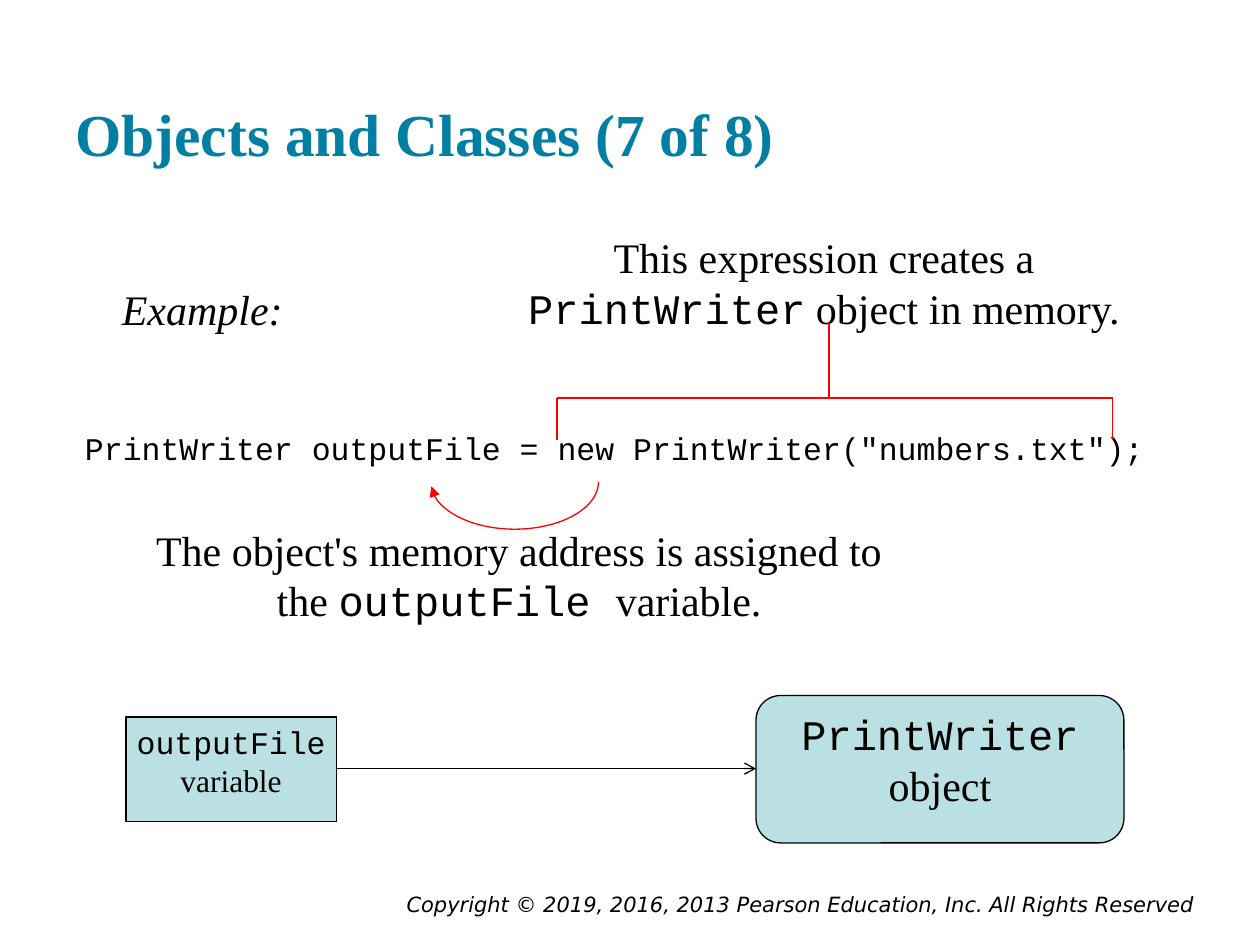
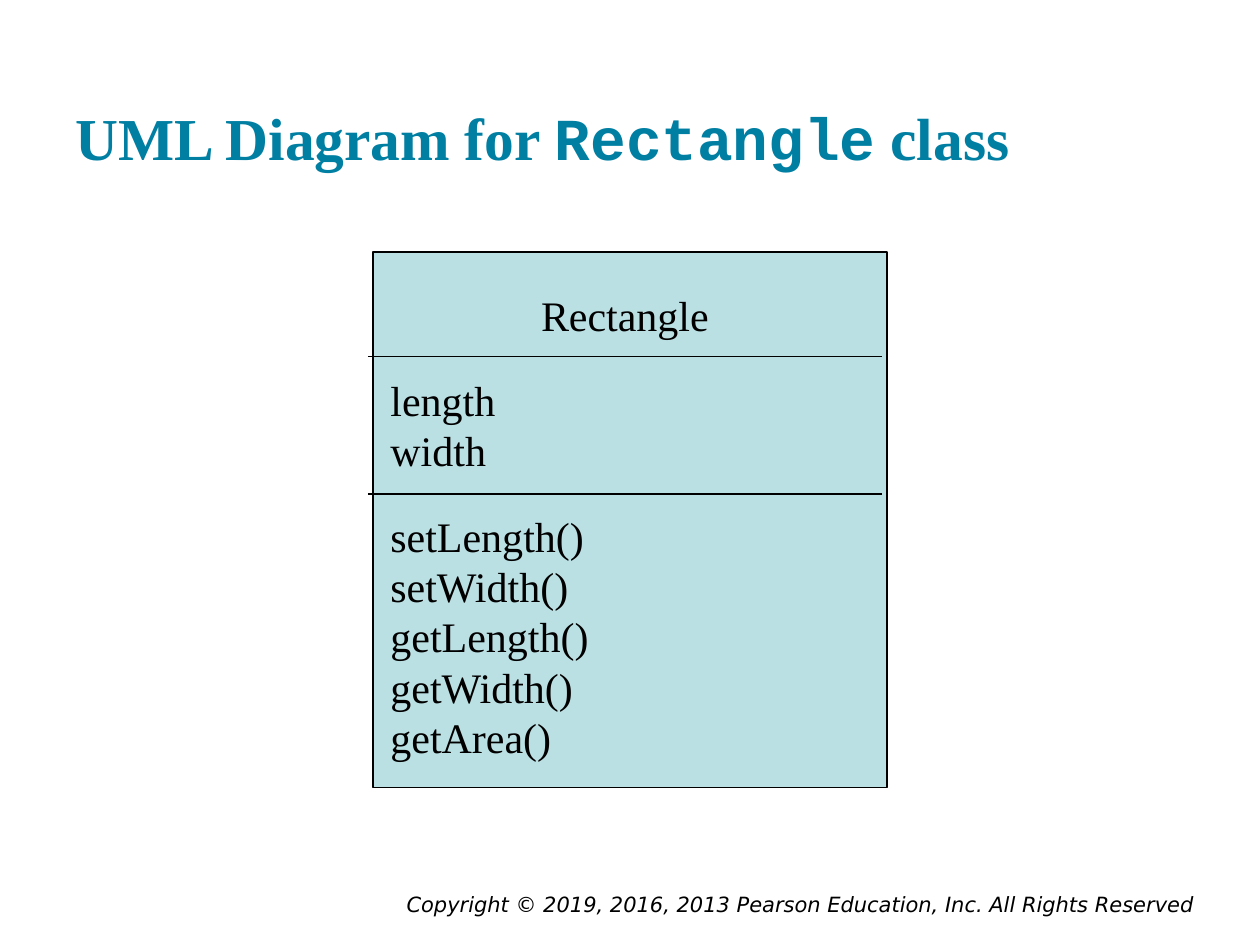
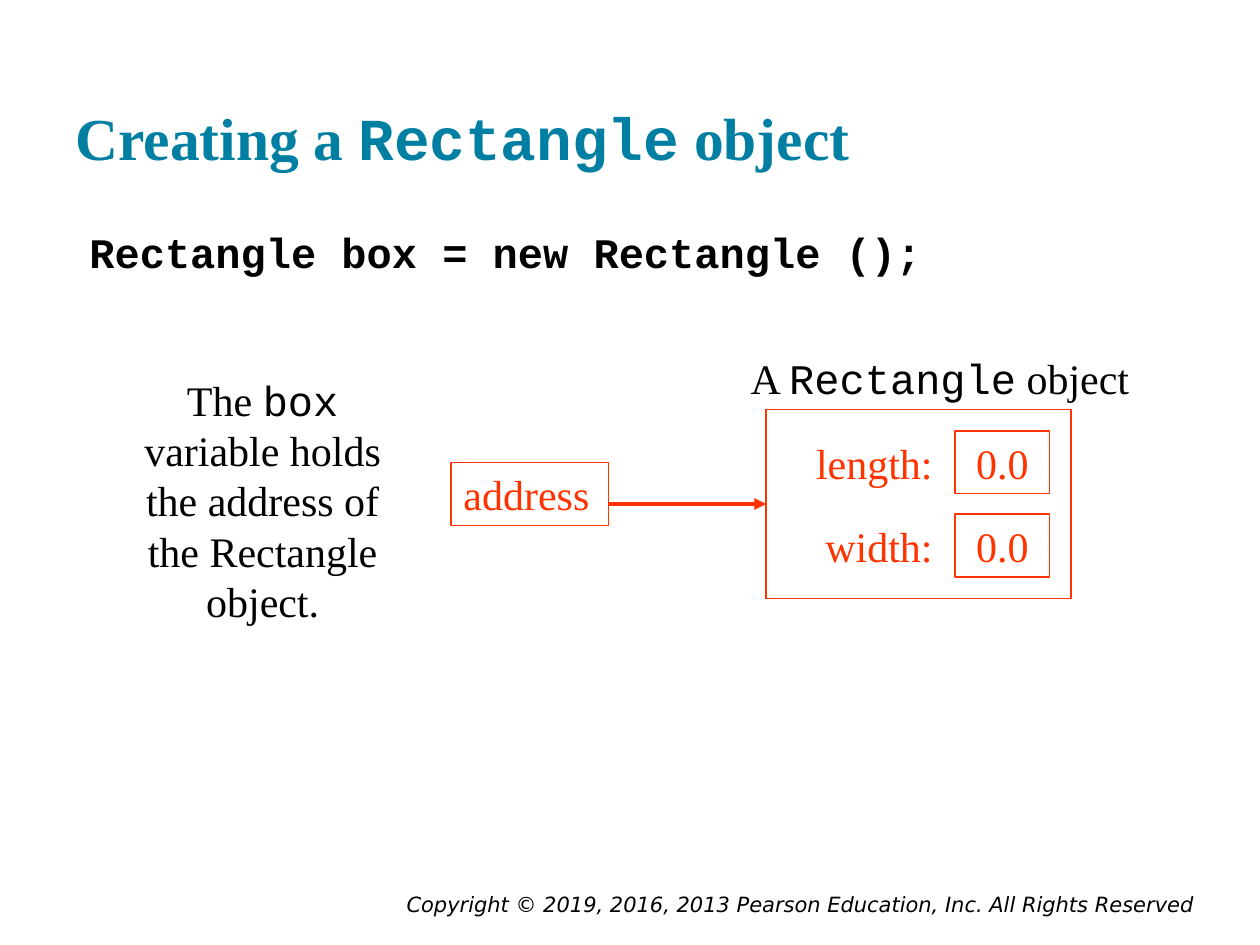
from pptx import Presentation
from pptx.dml.color import RGBColor
from pptx.enum.shapes import MSO_CONNECTOR as Connector, MSO_SHAPE as Shape
from pptx.enum.text import MSO_ANCHOR as Anchor, PP_ALIGN as Align
from pptx.oxml.ns import qn
from pptx.util import Inches, Pt
from lxml.etree import SubElement

COLORS = {"title": "007FA3", "ink": "000000", "box": "BBE0E3",
          "trace": "FF0000", "object": "FF3300"}
SERIF, MONO = "Times New Roman", "Courier New"
COPYRIGHT = ("Copyright © 2019, 2016, 2013 Pearson Education, Inc. "
             "All Rights Reserved")
TITLE_ONLY = 5


def color(key):
    return RGBColor.from_string(COLORS[key])


def set_attributes(target, values):
    for attribute, value in values.items():
        setattr(target, attribute, value)


def write(frame, text, size=24, ink="ink", align=Align.CENTER, wrap=True,
          anchor=Anchor.TOP, font=SERIF, margins=(0.1, 0.05), **style):
    """Fill a frame: one paragraph a line, with `code` in the code font."""
    side, end = (Inches(margin) for margin in margins)
    set_attributes(frame, {
        "word_wrap": wrap, "vertical_anchor": anchor,
        "margin_left": side, "margin_right": side,
        "margin_top": end, "margin_bottom": end})
    for number, line in enumerate(text.split("\n")):
        paragraph = frame.add_paragraph() if number else frame.paragraphs[0]
        paragraph.alignment = align
        for position, part in enumerate(line.split("`")):
            if not part:
                continue
            run = paragraph.add_run()
            run.text = part
            run.font.color.rgb = color(ink)
            set_attributes(run.font, {
                "name": MONO if position % 2 else font,
                "size": Pt(size), **style})


def add_label(slide, place, text, **style):
    label = slide.shapes.add_textbox(*map(Inches, place))
    write(label.text_frame, text, **style)


def add_box(slide, place, text="", kind=Shape.RECTANGLE, fill=None,
            outline="ink", **style):
    box = slide.shapes.add_shape(kind, *map(Inches, place))
    box.shadow.inherit = False
    if fill:
        box.fill.solid()
        box.fill.fore_color.rgb = color(fill)
    else:
        box.fill.background()
    box.line.color.rgb = color(outline)
    box.line.width = Pt(0.75)
    if text:
        write(box.text_frame, text, **style)
    return box


def add_arrowhead(shape, kind):
    SubElement(shape.line._get_or_add_ln(), qn("a:tailEnd"), type=kind)


def add_line(slide, start, end, ink="ink", width=0.75, arrow=None):
    line = slide.shapes.add_connector(
        Connector.STRAIGHT, *map(Inches, (*start, *end)))
    line.line.color.rgb = color(ink)
    line.line.width = Pt(width)
    if arrow:
        add_arrowhead(line, arrow)
    SubElement(line._element.spPr, qn("a:effectLst"))


def add_slide(deck, title, top=0.27):
    """Start a slide with the shared title style and copyright line."""
    slide = deck.slides.add_slide(deck.slide_layouts[TITLE_ONLY])
    heading = slide.shapes.title
    set_attributes(heading, {"left": Inches(0.5), "top": Inches(top),
                             "width": Inches(9), "height": Inches(1.2)})
    write(heading.text_frame, title, size=34, ink="title", align=Align.LEFT,
          anchor=Anchor.BOTTOM, margins=(0.1, 0.1), bold=True)
    add_label(slide, (1.75, 7.03, 7.83, 0.22), COPYRIGHT, size=12,
              align=Align.RIGHT, font="DejaVu Sans", italic=True)
    return slide


def build_print_writer(deck):
    slide = add_slide(deck, "Objects and Classes (7 of 8)", top=0.24)
    add_label(slide, (0.5, 3.36, 8.75, 0.4),
              '`PrintWriter outputFile = new PrintWriter("numbers.txt");`',
              size=18)

    # Variable pointing to its object
    add_box(slide, (1, 5.69, 1.67, 0.83), "`outputFile`\nvariable",
            fill="box", size=18, wrap=False)
    writer = add_box(slide, (6, 5.52, 2.92, 1.17), "`PrintWriter`\nobject",
                     kind=Shape.ROUNDED_RECTANGLE, fill="box", wrap=False)
    writer.adjustments[0] = 0.167
    add_line(slide, (2.67, 6.1), (6, 6.1), arrow="arrow")

    # Bracket over the expression
    add_label(slide, (4.08, 1.79, 4.92, 0.9),
              "This expression creates a `PrintWriter` object in memory.")
    left, right, stem, bar = 4.42, 8.83, 6.58, 3.16
    for start, end in (((left, 3.49), (left, bar)),
                       ((left, bar), (right, bar)),
                       ((right, 3.49), (right, bar)),
                       ((stem, bar), (stem, 2.56))):
        add_line(slide, start, end, ink="trace")

    # Curved arrow from the expression back to the variable
    curve = add_box(slide, (3.42, 3.45, 1.33, 0.75), kind=Shape.ARC,
                    outline="trace")
    for index, degrees in enumerate((0, 177)):
        curve.adjustments[index] = degrees * 0.6
    add_arrowhead(curve, "triangle")

    add_label(slide, (1.08, 4.11, 6.08, 0.9),
              "The object's memory address is assigned to "
              "the `outputFile `variable.")
    add_label(slide, (0.83, 2.2, 1.55, 0.5), "Example:", italic=True)


def build_uml_diagram(deck):
    slide = add_slide(deck, "UML Diagram for `Rectangle` class")
    add_box(slide, (2.96, 2, 4.08, 4.25), fill="box")
    add_label(slide, (2.92, 2.25, 4.08, 0.5), "Rectangle")

    # Fields and methods, each under a divider
    members = ((2.83, 2.92, 0.9, "length\nwidth"),
               (3.92, 4, 2.1, "setLength()\nsetWidth()\ngetLength()\n"
                              "getWidth()\ngetArea()"))
    for divider, top, height, names in members:
        add_line(slide, (2.92, divider), (7, divider))
        add_label(slide, (3, top, 1.92, height), names, align=Align.LEFT)


def build_rectangle_object(deck):
    slide = add_slide(deck, "Creating a `Rectangle` object")
    add_label(slide, (0.5, 1.7, 9, 4.95),
              "`Rectangle box = new Rectangle ();`", align=Align.LEFT,
              margins=(0.21, 0.1), bold=True)

    # Variable with the address
    add_label(slide, (0.92, 2.92, 2.33, 2.1),
              "The `box `variable holds the address of the Rectangle object.")
    add_box(slide, (3.58, 3.67, 1.25, 0.5), "address", outline="object",
            ink="object", align=Align.LEFT)

    # Object and its fields
    for field, top in (("length:", 3.42), ("width:", 4.08)):
        add_box(slide, (7.58, top, 0.75, 0.5), "0.0", outline="object",
                ink="object")
        add_label(slide, (6.25, top, 1.25, 0.5), field, ink="object",
                  align=Align.RIGHT)
    add_box(slide, (6.08, 3.25, 2.42, 1.5), outline="object")
    add_line(slide, (4.83, 4), (6.08, 4), ink="object", width=2.25,
             arrow="triangle")
    add_label(slide, (5.5, 2.75, 3.92, 0.5), "A `Rectangle` object")


def main():
    deck = Presentation()
    deck.slide_width, deck.slide_height = Inches(10), Inches(7.5)
    build_print_writer(deck)
    build_uml_diagram(deck)
    build_rectangle_object(deck)
    deck.save("out.pptx")


if __name__ == "__main__":
    main()
